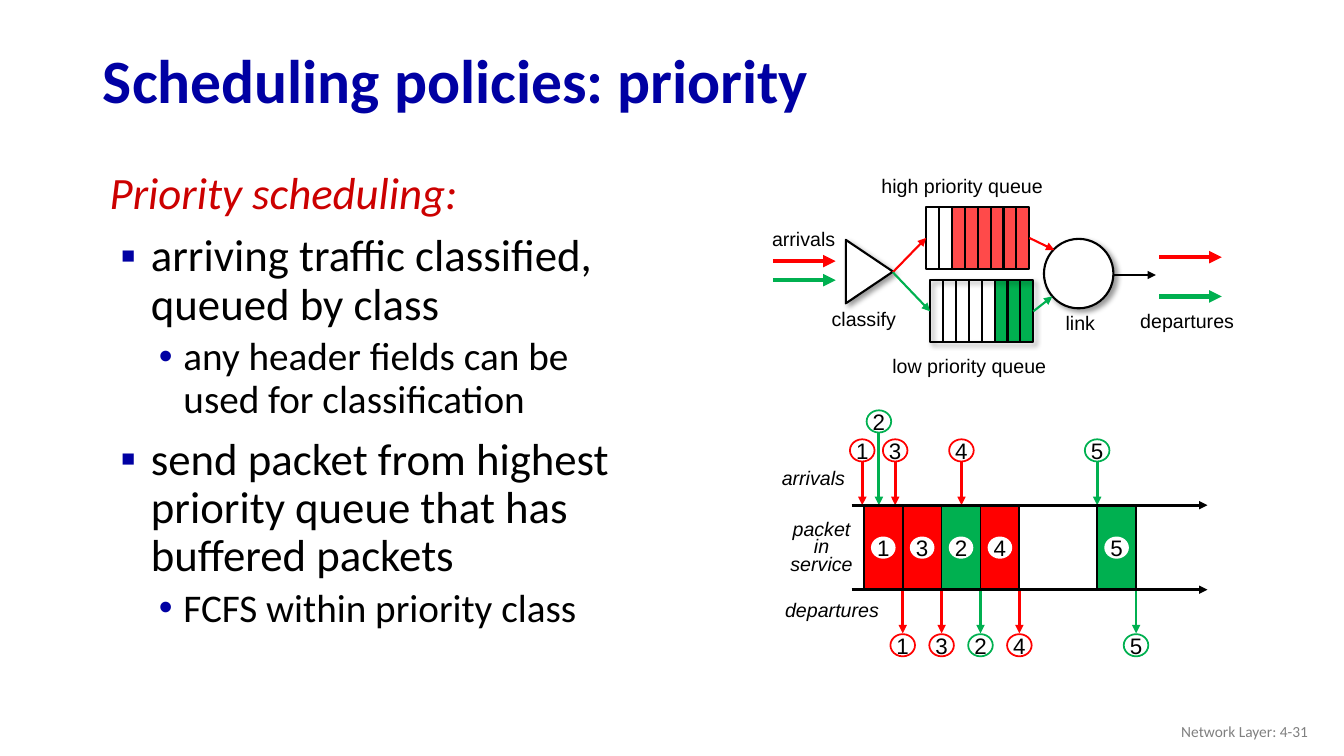
"""Build a slide that explains priority packet scheduling."""
import pptx
import pptx.dml.color
import pptx.enum.shapes
import pptx.enum.text
import pptx.oxml
import pptx.oxml.ns
import pptx.util

Cm = pptx.util.Cm
Pt = pptx.util.Pt
qn = pptx.oxml.ns.qn
SHAPE = pptx.enum.shapes.MSO_SHAPE
ALIGN = pptx.enum.text.PP_ALIGN
ANCHOR = pptx.enum.text.MSO_ANCHOR

COLORS = {
    "black": "000000", "white": "FFFFFF", "red": "FF0000", "green": "00B050",
    "heading": "CC0000", "navy": "0000A3", "gray": "808080",
}
SLOT = 0.98
SERVICE_START = 21.77
ARRIVAL_LINE, DEPARTURE_LINE = 12.73, 14.86
CIRCLE_WIDTH, CIRCLE_HEIGHT = 0.62, 0.56


def rgb(name):
    """Return the named colour."""
    return pptx.dml.color.RGBColor.from_string(COLORS[name])


def add_xml(parent, tag, content="", **attributes):
    """Append a drawing element to its parent."""
    values = "".join(f' {key}="{value}"' for key, value in attributes.items())
    parent.append(pptx.oxml.parse_xml(
        f'<a:{tag} {pptx.oxml.ns.nsdecls("a")}{values}>{content}</a:{tag}>'))


def write(paragraph, text, size=14, font="Arial", color="black", bold=False,
          italic=False, align=ALIGN.CENTER, spacing=None, before=0):
    """Put formatted text in a paragraph."""
    paragraph.alignment = align
    paragraph.line_spacing = spacing
    paragraph.space_before = Pt(before)
    run = paragraph.add_run()
    run.text = text
    run.font.size = Pt(size)
    run.font.name = font
    run.font.bold = bold
    run.font.italic = italic
    run.font.color.rgb = rgb(color)


def place(shape, left, top, width, height):
    """Move and size a shape in centimetres."""
    shape.left, shape.top = Cm(left), Cm(top)
    shape.width, shape.height = Cm(width), Cm(height)


def add_title(slide, text):
    """Fill the title placeholder."""
    title = slide.shapes.title
    place(title, 2.34, 0.86, 29.21, 2.49)
    title.text_frame.vertical_anchor = ANCHOR.MIDDLE
    title.text_frame.auto_size = pptx.enum.text.MSO_AUTO_SIZE.NONE
    write(title.text_frame.paragraphs[0], text, size=44, font="Calibri",
          color="navy", bold=True, align=ALIGN.LEFT, spacing=0.9)


def add_list(body, top, height, items):
    """Fill a body placeholder with (kind, text) items."""
    styles = {
        "heading": (0, 32, "heading", 10, 0.99, -0.61, None),
        "point": (0, 32, "black", 10, 1.42, -0.77, "▪"),
        "detail": (1, 28, "black", 5, 2.24, -0.62, "•"),
    }
    place(body, 2.13, top, 14.12, height)
    frame = body.text_frame
    frame.auto_size = pptx.enum.text.MSO_AUTO_SIZE.NONE
    for index, (kind, text) in enumerate(items):
        level, size, color, before, margin, indent, bullet = styles[kind]
        paragraph = frame.add_paragraph() if index else frame.paragraphs[0]
        paragraph.level = level
        write(paragraph, text, size=size, font="Calibri", color=color,
              italic=kind == "heading", align=ALIGN.LEFT, spacing=0.9,
              before=before)
        properties = paragraph.element.get_or_add_pPr() if hasattr(
            paragraph, "element") else paragraph._p.get_or_add_pPr()
        properties.set("marL", str(Cm(margin)))
        properties.set("indent", str(Cm(indent)))
        if bullet:
            add_xml(properties, "buClr", f'<a:srgbClr val="{COLORS["navy"]}"/>')
            add_xml(properties, "buFont", typeface="Arial")
            add_xml(properties, "buChar", char=bullet)
        else:
            add_xml(properties, "buNone")


def add_label(slide, text, left, top, width, height=0.86, wrap=False,
              anchor=ANCHOR.TOP, **style):
    """Add a text box."""
    label = slide.shapes.add_textbox(Cm(left), Cm(top), Cm(width), Cm(height))
    label.text_frame.word_wrap = wrap
    label.text_frame.vertical_anchor = anchor
    write(label.text_frame.paragraphs[0], text, **style)


def add_shape(slide, preset, left, top, width, height, fill=None, line=None,
              weight=1.5, alpha=None, shadow=False):
    """Add a preset shape with its fill, outline and shadow."""
    shape = slide.shapes.add_shape(preset, Cm(left), Cm(top), Cm(width), Cm(height))
    if fill:
        shape.fill.solid()
        shape.fill.fore_color.rgb = rgb(fill)
        if alpha:
            color = shape.element.spPr.find(qn("a:solidFill")).find(qn("a:srgbClr"))
            add_xml(color, "alpha", val=alpha * 1000)
    else:
        shape.fill.background()
    if line:
        shape.line.color.rgb = rgb(line)
        shape.line.width = Pt(weight)
    else:
        shape.line.fill.background()
    shape.shadow.inherit = False
    if shadow:
        add_xml(shape.element.spPr.find(qn("a:effectLst")), "outerShdw",
                '<a:srgbClr val="000000"><a:alpha val="40000"/></a:srgbClr>',
                blurRad=Pt(4), dist=Pt(3), dir=2700000, algn="tl", rotWithShape=0)
    return shape


def add_line(slide, start, end, color="black", weight=1.5, arrow=True):
    """Add a straight line or arrow between two points."""
    line = slide.shapes.add_connector(
        pptx.enum.shapes.MSO_CONNECTOR.STRAIGHT,
        *(Cm(value) for value in (*start, *end)))
    line.line.color.rgb = rgb(color)
    line.line.width = Pt(weight)
    if arrow:
        add_xml(line.element.spPr.find(qn("a:ln")), "tailEnd", type="triangle")
    add_xml(line.element.spPr, "effectLst")
    return line


def add_queue(slide, left, top, color, waiting, alpha=None, shadow=False):
    """Add an eight-cell queue filled from its right end."""
    cells, cell, height = 8, 0.325, 1.57
    add_shape(slide, SHAPE.RECTANGLE, left + (cells - waiting) * cell, top,
              waiting * cell, height, fill=color, alpha=alpha)
    queue = add_shape(slide, SHAPE.RECTANGLE, left, top, cells * cell, height,
                      line="black", shadow=shadow)
    for index in range(1, cells):
        x = left + index * cell
        add_line(slide, (x, top), (x, top + height), arrow=False)
    return queue


def add_number(slide, number, x, y, line=None):
    """Add a numbered circle centred on a point."""
    circle = add_shape(slide, SHAPE.OVAL, x - CIRCLE_WIDTH / 2, y - CIRCLE_HEIGHT / 2,
                       CIRCLE_WIDTH, CIRCLE_HEIGHT, fill="white", line=line, weight=1.25)
    frame = circle.text_frame
    frame.margin_left = frame.margin_right = frame.margin_top = frame.margin_bottom = 0
    frame.word_wrap = False
    frame.vertical_anchor = ANCHOR.MIDDLE
    write(frame.paragraphs[0], str(number), size=16)


def add_queue_diagram(slide):
    """Draw the classifier, both queues and the link."""
    high = add_queue(slide, 23.34, 5.21, "red", 6, alpha=71)
    low = add_queue(slide, 23.44, 7.06, "green", 3, shadow=True)
    classifier = add_shape(slide, SHAPE.ISOSCELES_TRIANGLE, 21.11, 6.25, 1.6, 1.19,
                           fill="white", line="black", shadow=True)
    classifier.rotation = 90
    add_shape(slide, SHAPE.OVAL, 26.31, 6.02, 1.75, 1.75,
              fill="white", line="black", shadow=True)
    for queue, color, link_edge in ((high, "red", (26.57, 6.3)),
                                    (low, "green", (26.52, 7.47))):
        add_line(slide, (22.5, 6.86), (23.4, 6), color).end_connect(queue, 1)
        add_line(slide, (26, 6), link_edge, color).begin_connect(queue, 3)
    add_line(slide, (28.07, 6.93), (29.13, 6.93))
    for x, y, color in ((19.48, 6.58, "red"), (19.48, 7.06, "green"),
                        (29.21, 6.48, "red"), (29.21, 7.47, "green")):
        add_line(slide, (x, y), (x + 1.58, y), color, 3)
    for text, left, top, width in (
            ("high priority queue", 21.95, 4.27, 4.6),
            ("low priority queue", 22.22, 8.79, 4.42),
            ("arrivals", 19.2, 5.59, 2.11), ("classify", 20.68, 7.62, 2.18),
            ("departures", 28.47, 7.67, 2.9), ("link", 26.59, 7.7, 1.27)):
        add_label(slide, text, left, top, width)


def add_timeline(slide):
    """Draw packet arrivals, service slots and departures."""
    packets = (
        (1, "red", 0, 21.73, 11.35), (3, "red", 1, 22.56, 11.35),
        (2, "green", 2, 22.15, 10.62), (4, "red", 3, 24.23, 11.35),
        (5, "green", 6, 27.65, 11.35))
    for number, color, slot, arrival, arrival_y in packets:
        left = SERVICE_START + slot * SLOT
        finish = left + SLOT
        add_shape(slide, SHAPE.RECTANGLE, left, ARRIVAL_LINE, SLOT,
                  DEPARTURE_LINE - ARRIVAL_LINE, fill=color, line="black", weight=1.25)
        add_number(slide, number, left + SLOT / 2, 13.8)
        add_number(slide, number, arrival, arrival_y, line=color)
        add_line(slide, (arrival, arrival_y + CIRCLE_HEIGHT / 2),
                 (arrival, ARRIVAL_LINE), color, 2)
        add_number(slide, number, finish, 16.26, line=color)
        add_line(slide, (finish, DEPARTURE_LINE), (finish, 15.96), color, 2)
    for y in (ARRIVAL_LINE, DEPARTURE_LINE):
        add_line(slide, (21.46, y), (30.43, y), weight=2)
    add_label(slide, "arrivals", 19.38, 11.61, 2.24, italic=True)
    add_label(slide, "departures", 19.46, 14.94, 3.02, italic=True)
    add_label(slide, "packet in service", 19.51, 13.03, 2.39, 1.65, wrap=True,
              italic=True, spacing=Pt(12.8))


def main():
    """Create and save the slide."""
    deck = pptx.Presentation()
    deck.slide_width, deck.slide_height = Cm(33.87), Cm(19.05)
    slide = deck.slides.add_slide(deck.slide_layouts[3])
    add_title(slide, "Scheduling policies: priority")
    add_list(slide.placeholders[1], 4.17, 7.44, (
        ("heading", "Priority scheduling:"),
        ("point", "arriving traffic classified, queued by class"),
        ("detail", "any header fields can be used for classification")))
    add_list(slide.placeholders[2], 10.87, 5.46, (
        ("point", "send packet from highest priority queue that has buffered packets"),
        ("detail", "FCFS within priority class")))
    add_queue_diagram(slide)
    add_timeline(slide)
    add_label(slide, "Network Layer: 4-31", 25.6, 17.91, 7.62, 1.02, wrap=True,
              anchor=ANCHOR.MIDDLE, size=11, font="Calibri", color="gray",
              align=ALIGN.RIGHT)
    deck.save("out.pptx")


if __name__ == "__main__":
    main()
